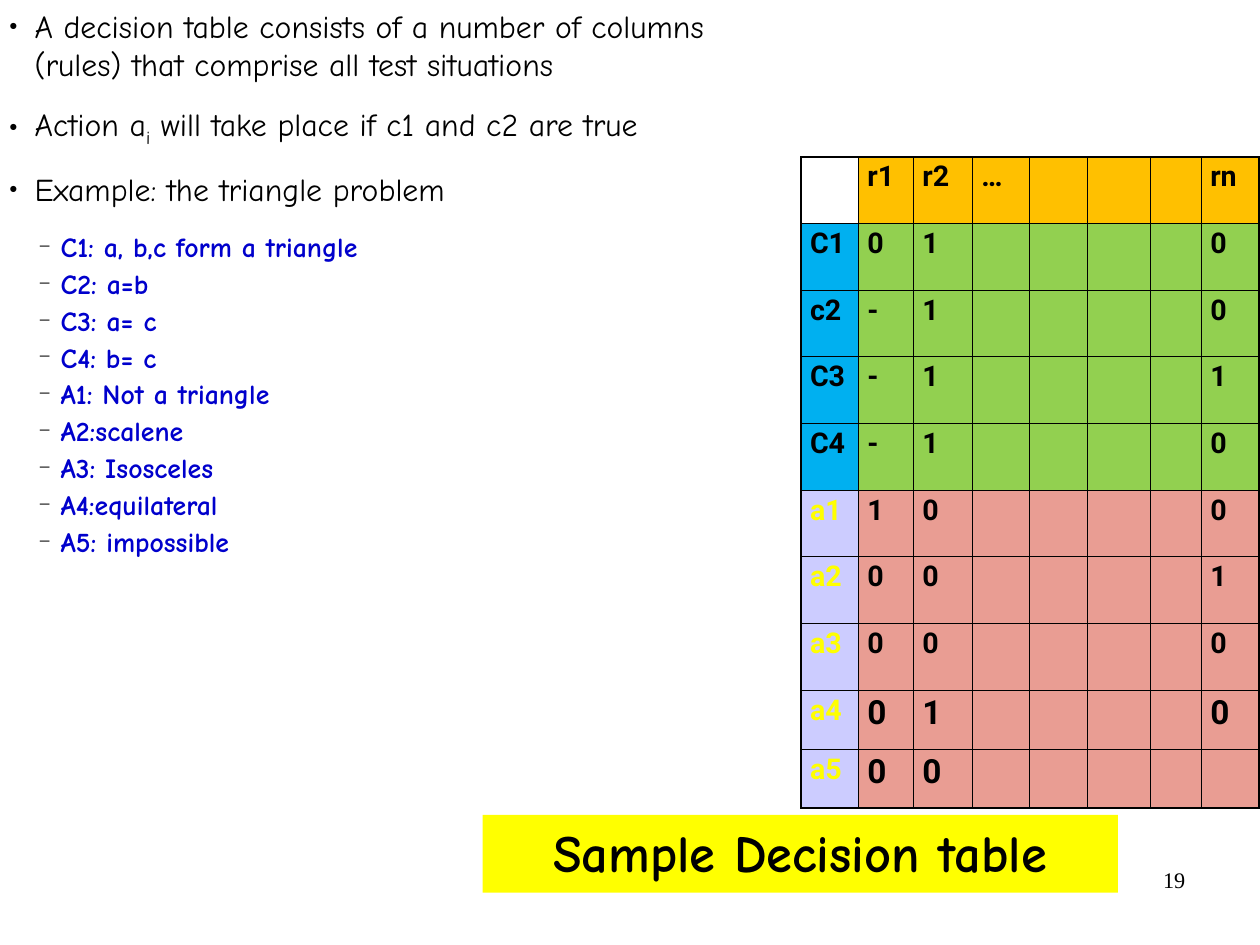
"""Build the decision table slide: rules, triangle example and sample table."""
import pptx
import pptx.util
import pptx.dml.color
import pptx.enum.shapes
import pptx.enum.text
import pptx.oxml.ns
import lxml.etree

Pt = pptx.util.Pt
RGBColor = pptx.dml.color.RGBColor
Align = pptx.enum.text.PP_ALIGN
Anchor = pptx.enum.text.MSO_ANCHOR
qn = pptx.oxml.ns.qn

BLACK = RGBColor(0x00, 0x00, 0x00)
WHITE = RGBColor(0xFF, 0xFF, 0xFF)
YELLOW = RGBColor(0xFF, 0xFF, 0x00)
NAVY = RGBColor(0x00, 0x00, 0xCC)
ORANGE = RGBColor(0xFF, 0xC0, 0x00)
BLUE = RGBColor(0x00, 0xB0, 0xF0)
GREEN = RGBColor(0x92, 0xD0, 0x50)
LAVENDER = RGBColor(0xCC, 0xCC, 0xFF)
SALMON = RGBColor(0xE9, 0x9D, 0x93)

TEXT_FONT, TABLE_FONT, NUMBER_FONT = "Comic Neue", "Roboto", "Times New Roman"
OUTER_LINE, INNER_LINE = 1.08, 0.45

POINT = {"margin": 16, "indent": -16, "bullet": "●", "bullet_size": 45,
         "after": 13.8, "font": {"size": Pt(20), "bold": False, "color": BLACK}}
DETAIL = {"margin": 32.4, "indent": -13.7, "bullet": "−", "bullet_size": 75,
          "after": 2.2, "font": {"size": Pt(17.5), "bold": True, "color": NAVY}}

POINTS = [
    [("A decision table consists of a number of columns (rules) "
      "that comprise all test situations", 0)],
    [("Action a", 0), ("i", -25), (" will take place if c1 and c2 are true", 0)],
    [("Example: the triangle problem", 0)],
]
DETAILS = ["C1: a, b,c form a triangle", "C2: a=b", "C3: a= c", "C4: b= c",
           "A1: Not a triangle", "A2:scalene", "A3: Isosceles",
           "A4:equilateral", "A5: impossible"]

RULES = [("", "r1", "r2", "…", "rn"),
         ("C1", "0", "1", "", "0"), ("c2", "-", "1", "", "0"),
         ("C3", "-", "1", "", "1"), ("C4", "-", "1", "", "0"),
         ("a1", "1", "0", "", "0"), ("a2", "0", "0", "", "1"),
         ("a3", "0", "0", "", "0"), ("a4", "0", "1", "", "0"),
         ("a5", "0", "0", "", "")]
COLUMN_WIDTHS = [36.2, 34.6, 37.2, 36, 36.4, 39.7, 32.1, 36.4]
ROW_HEIGHTS = [42] * 8 + [37.2] * 2


class DecisionSlide:
    """Hold the text style and the current slide."""

    def __init__(self, presentation):
        """Add a blank slide to the presentation."""
        self.slide = presentation.slides.add_slide(presentation.slide_layouts[6])

    def apply(self, target, values):
        """Set every attribute in values on the target."""
        for name, value in values.items():
            if name == "color":
                target.color.rgb = value
            else:
                setattr(target, name, value)

    def frame(self, shape, left, top, right, bottom, anchor=Anchor.TOP):
        """Set wrapping, insets and anchor of a shape's text frame."""
        text_frame = shape.text_frame
        self.apply(text_frame, {
            "word_wrap": True, "vertical_anchor": anchor,
            "margin_left": Pt(left), "margin_top": Pt(top),
            "margin_right": Pt(right), "margin_bottom": Pt(bottom)})
        return text_frame

    def line(self, paragraph, text, font, layout):
        """Write one plain line of text."""
        run = paragraph.add_run()
        run.text = text
        self.apply(paragraph, layout)
        self.apply(run.font, font)

    def title(self, text, box):
        """Add the filled title bar."""
        shape = self.slide.shapes.add_shape(
            pptx.enum.shapes.MSO_SHAPE.RECTANGLE, *map(Pt, box))
        shape.shadow.inherit = False
        shape.fill.solid()
        shape.fill.fore_color.rgb = YELLOW
        shape.line.fill.background()
        text_frame = self.frame(shape, 5.8, 2.9, 5.8, 5.8, Anchor.BOTTOM)
        self.line(text_frame.paragraphs[0], text,
                  {"name": TEXT_FONT, "size": Pt(33), "bold": True, "color": BLACK},
                  {"alignment": Align.CENTER, "line_spacing": 0.88})

    def page_number(self, text, box):
        """Add the page number."""
        shape = self.slide.shapes.add_textbox(*map(Pt, box))
        text_frame = self.frame(shape, 7.2, 3.6, 7.2, 3.6)
        self.line(text_frame.paragraphs[0], text,
                  {"name": NUMBER_FONT, "size": Pt(14), "color": BLACK},
                  {"alignment": Align.RIGHT})

    def bullet(self, paragraph, style):
        """Give a paragraph its indent and bullet."""
        properties = paragraph._p.get_or_add_pPr()
        properties.set("marL", str(Pt(style["margin"])))
        properties.set("indent", str(Pt(style["indent"])))
        color = lxml.etree.SubElement(properties, qn("a:buClr"))
        lxml.etree.SubElement(color, qn("a:srgbClr"), val=str(BLACK))
        lxml.etree.SubElement(properties, qn("a:buSzPct"),
                              val=str(style["bullet_size"] * 1000))
        lxml.etree.SubElement(properties, qn("a:buFont"), typeface=NUMBER_FONT)
        lxml.etree.SubElement(properties, qn("a:buChar"), char=style["bullet"])
        paragraph.space_after = Pt(style["after"])

    def bullets(self, items, box):
        """Add a bulleted list of (runs, style) items."""
        shape = self.slide.shapes.add_textbox(*map(Pt, box))
        text_frame = self.frame(shape, 5.8, 2.9, 5.8, 2.9)
        for index, (runs, style) in enumerate(items):
            paragraph = text_frame.add_paragraph() if index else text_frame.paragraphs[0]
            self.bullet(paragraph, style)
            for text, baseline in runs:
                run = paragraph.add_run()
                run.text = text
                self.apply(run.font, {"name": TEXT_FONT, **style["font"]})
                if baseline:
                    run._r.get_or_add_rPr().set("baseline", str(baseline * 1000))

    def borders(self, cell, widths):
        """Draw the four borders of a cell."""
        properties = cell._tc.get_or_add_tcPr()
        for side, width in widths.items():
            border = lxml.etree.SubElement(properties, qn("a:ln" + side), w=str(Pt(width)))
            fill = lxml.etree.SubElement(border, qn("a:solidFill"))
            lxml.etree.SubElement(fill, qn("a:srgbClr"), val=str(BLACK))
            lxml.etree.SubElement(border, qn("a:prstDash"), val="solid")

    def table(self, rules, left, top):
        """Add the decision table."""
        rows, columns = len(ROW_HEIGHTS), len(COLUMN_WIDTHS)
        table = self.slide.shapes.add_table(
            rows, columns, Pt(left), Pt(top),
            Pt(sum(COLUMN_WIDTHS)), Pt(sum(ROW_HEIGHTS))).table
        self.apply(table, {"first_row": False, "horz_banding": False})
        for column, width in zip(table.columns, COLUMN_WIDTHS):
            column.width = Pt(width)
        for row, height in zip(table.rows, ROW_HEIGHTS):
            row.height = Pt(height)
        for row, (*first_texts, last_text) in enumerate(rules):
            gap = [""] * (columns - len(first_texts) - 1)
            for column, text in enumerate(first_texts + gap + [last_text]):
                cell = table.cell(row, column)
                edges = {"L": column == 0, "R": column == columns - 1,
                         "T": row == 0, "B": row == rows - 1}
                self.borders(cell, {side: OUTER_LINE if outer else INNER_LINE
                                    for side, outer in edges.items()})
                self.cell(cell, text, row, column)

    def cell(self, cell, text, row, column):
        """Fill a cell and write its text."""
        label = column == 0
        if row == 0:
            fill = WHITE if label else ORANGE
        elif row < 5:
            fill = BLUE if label else GREEN
        else:
            fill = LAVENDER if label else SALMON
        cell.fill.solid()
        cell.fill.fore_color.rgb = fill
        self.apply(cell, {"margin_left": Pt(5.8), "margin_right": Pt(5.8),
                          "margin_top": Pt(3.6), "margin_bottom": Pt(3.6)})
        if text:
            self.line(cell.text_frame.paragraphs[0], text,
                      {"name": TABLE_FONT, "bold": True,
                       "size": Pt(21 if row > 7 and not label else 18),
                       "color": YELLOW if label and row > 4 else BLACK},
                      {"line_spacing": 0.91})


def main():
    """Build and save the slide."""
    presentation = pptx.Presentation()
    presentation.slide_width, presentation.slide_height = Pt(793.75), Pt(595.25)
    page = DecisionSlide(presentation)
    page.page_number("19", (568.8, 542, 185, 41))
    page.title("Sample Decision table", (304, 513.2, 400.3, 49))
    items = [(runs, POINT) for runs in POINTS]
    items += [([(text, 0)], DETAIL) for text in DETAILS]
    page.bullets(items, (0, 1.2, 489.6, 353.5))
    page.table(RULES, 504.5, 98.8)
    presentation.save("out.pptx")


if __name__ == "__main__":
    main()
